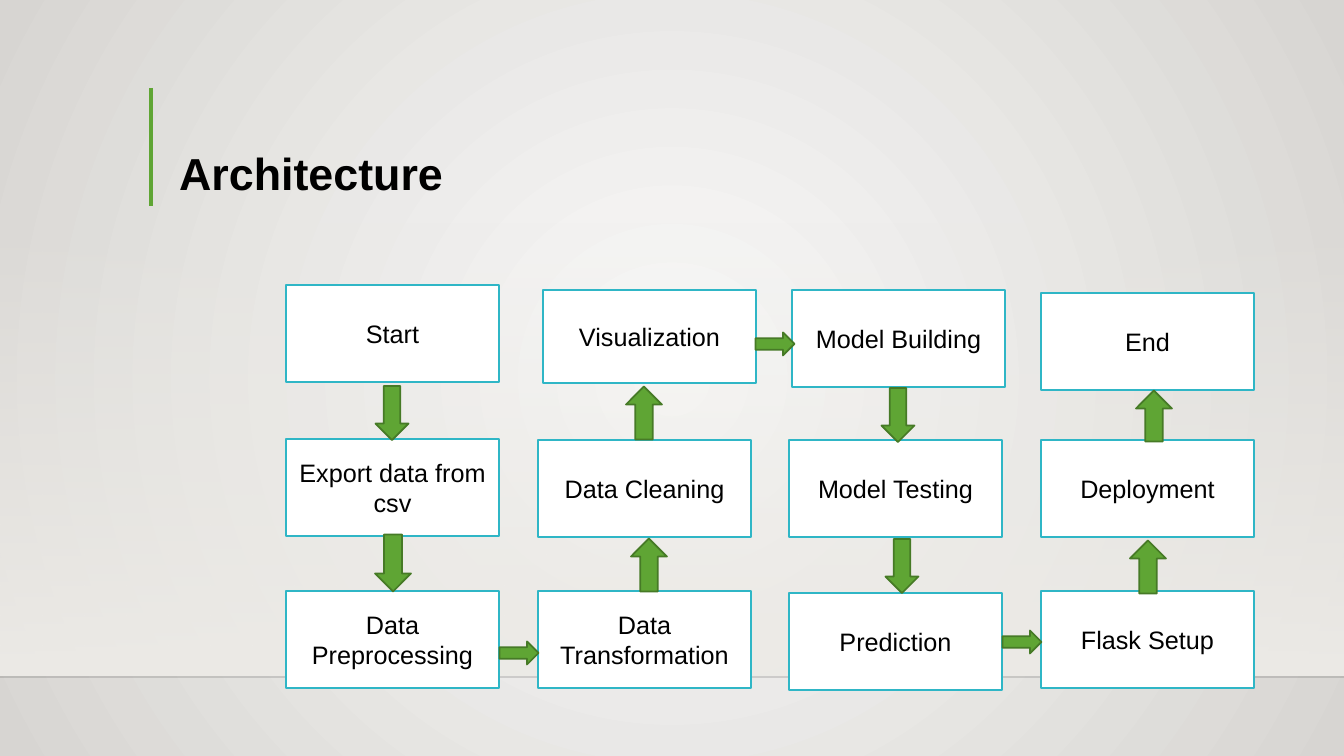
from lxml import etree
from pptx import Presentation
from pptx import util as u
from pptx.dml.color import RGBColor
from pptx.enum import shapes, text
from pptx.oxml import parse_xml
from pptx.oxml.ns import nsdecls, qn

GREEN, DARK_GREEN, TEAL = "5FA534", "467A26", "2FB6C6"
RIGHT, DOWN, UP = 0, 90, 270
BOX_WIDTH, BOX_HEIGHT = 213, 97

# Columns of steps: label, top, height, nudge to the right
COLUMNS = [
    [("Start", 0, BOX_HEIGHT, 0),
     ("Export data from csv", 154, BOX_HEIGHT, 0),
     ("Data Preprocessing", 306, BOX_HEIGHT, 0)],
    [("Visualization", 5, 93, 5),
     ("Data Cleaning", 155, BOX_HEIGHT, 0),
     ("Data Transformation", 306, BOX_HEIGHT, 0)],
    [("Model Building", 5, BOX_HEIGHT, 3),
     ("Model Testing", 155, BOX_HEIGHT, 0),
     ("Prediction", 308, BOX_HEIGHT, 0)],
    [("End", 8, BOX_HEIGHT, 0),
     ("Deployment", 155, BOX_HEIGHT, 0),
     ("Flask Setup", 306, BOX_HEIGHT, 0)],
]

# Arrows in flow order: direction, centre x, centre y, length, thickness
ARROWS = [
    (DOWN, 106, 128, 54, 33),
    (DOWN, 107, 278, 57, 36),
    (RIGHT, 233, 368, 39, 23),
    (UP, 363, 280, 53, 36),
    (UP, 358, 128, 53, 36),
    (RIGHT, 489, 59, 39, 23),
    (DOWN, 612, 130, 54, 33),
    (DOWN, 616, 281, 54, 33),
    (RIGHT, 736, 357, 39, 23),
    (UP, 862, 282, 53, 36),
    (UP, 868, 131, 51, 36),
]


def px(length):
    return u.Emu(round(length * 914400 / 100.8))


def color(hex_string):
    return RGBColor.from_string(hex_string)


def set_alpha(color_element, percent):
    etree.SubElement(color_element, qn("a:alpha")).set("val", str(percent * 1000))


def set_gradient(fill, owner, start, end, direction):
    """Fill with two colours; return the gradient's XML element."""
    fill.gradient()
    for stop, position, tone in zip(fill.gradient_stops, (0, 1), (start, end)):
        stop.position = position
        stop.color.rgb = color(tone)
    gradient = owner.find(".//" + qn("a:gradFill"))
    gradient.replace(gradient.find(qn("a:lin")), parse_xml(direction))
    return gradient


def add_block(page, kind, left, top, width, height, fill, line):
    block = page.shapes.add_shape(kind, px(left), px(top), px(width), px(height))
    block.shadow.inherit = False
    block.fill.solid()
    block.fill.fore_color.rgb = color(fill)
    block.line.color.rgb = color(line)
    block.line.width = u.Pt(1.25)
    return block


def add_line(page, start, end, tone, width):
    line = page.shapes.add_connector(
        shapes.MSO_CONNECTOR.STRAIGHT, *map(px, start + end))
    line.line.color.rgb = color(tone)
    line.line.width = u.Pt(width)
    etree.SubElement(line.element.spPr, qn("a:effectLst"))
    return line


def add_backdrop(page, left, top, width, height):
    # Radial background
    set_gradient(
        page.background.fill, page.element, "FAFAF9", "D7D5D2",
        f'<a:path {nsdecls("a")} path="circle"><a:fillToRect '
        'l="50000" t="50000" r="50000" b="50000"/></a:path>')

    # Wall fading in towards the floor
    wall = page.shapes.add_shape(
        shapes.MSO_SHAPE.RECTANGLE,
        px(left), px(top + 222), px(width), px(454))
    wall.shadow.inherit = False
    wall.line.fill.background()
    gradient = set_gradient(
        wall.fill, wall.element, "EDEBE7", "EDEBE7",
        f'<a:lin {nsdecls("a")} ang="5400000" scaled="0"/>')
    set_alpha(gradient.find(".//" + qn("a:srgbClr")), 0)

    # Floor edge
    floor = top + height - 79
    edge = add_line(page, (left, floor), (left + width, floor), "000001", 1)
    set_alpha(edge.element.spPr.find(".//" + qn("a:srgbClr")), 20)


def add_title(page, left, top, width, height):
    add_line(page, (left, top), (left, top + height), GREEN, 3)
    title = page.shapes.title
    title.left, title.top = px(left + 18), px(top + 1)
    title.width, title.height = px(width - 18), px(height - 2)
    frame = title.text_frame
    frame.text = "Architecture"
    frame.vertical_anchor = text.MSO_ANCHOR.BOTTOM
    para = frame.paragraphs[0]
    para.alignment = text.PP_ALIGN.LEFT
    para.line_spacing = 0.9
    para.font.name, para.font.size, para.font.bold = "Arial", u.Pt(32), True
    para.font.color.rgb = color("000000")
    # Bring the title in front of the backdrop
    title.element.getparent().append(title.element)


def add_step(page, label, left, top, width, height):
    step = add_block(page, shapes.MSO_SHAPE.RECTANGLE,
                     left, top, width, height, "FFFFFF", TEAL)
    frame = step.text_frame
    frame.text = label
    frame.word_wrap = True
    frame.vertical_anchor = text.MSO_ANCHOR.MIDDLE
    para = frame.paragraphs[0]
    para.alignment = text.PP_ALIGN.CENTER
    para.font.name, para.font.size = "Arial", u.Pt(18)
    para.font.color.rgb = color("000000")


def add_flow(page, left, top, width):
    pitch = (width - BOX_WIDTH) / (len(COLUMNS) - 1)
    for index, column in enumerate(COLUMNS):
        for label, step_top, step_height, nudge in column:
            add_step(page, label, left + round(index * pitch) + nudge,
                     top + step_top, BOX_WIDTH, step_height)

    for direction, x, y, length, thickness in ARROWS:
        arrow = add_block(page, shapes.MSO_SHAPE.RIGHT_ARROW,
                          left + x - length / 2, top + y - thickness / 2,
                          length, thickness, GREEN, DARK_GREEN)
        arrow.rotation = direction
        if direction == UP:
            arrow.adjustments[0] = 0.49


deck = Presentation()
deck.slide_width, deck.slide_height = px(1344), px(756)
page = deck.slides.add_slide(deck.slide_layouts[5])
add_backdrop(page, 0, 0, 1344, 756)
add_title(page, 151, 88, 1068, 118)
add_flow(page, 286, 285, 968)
deck.save("out.pptx")
